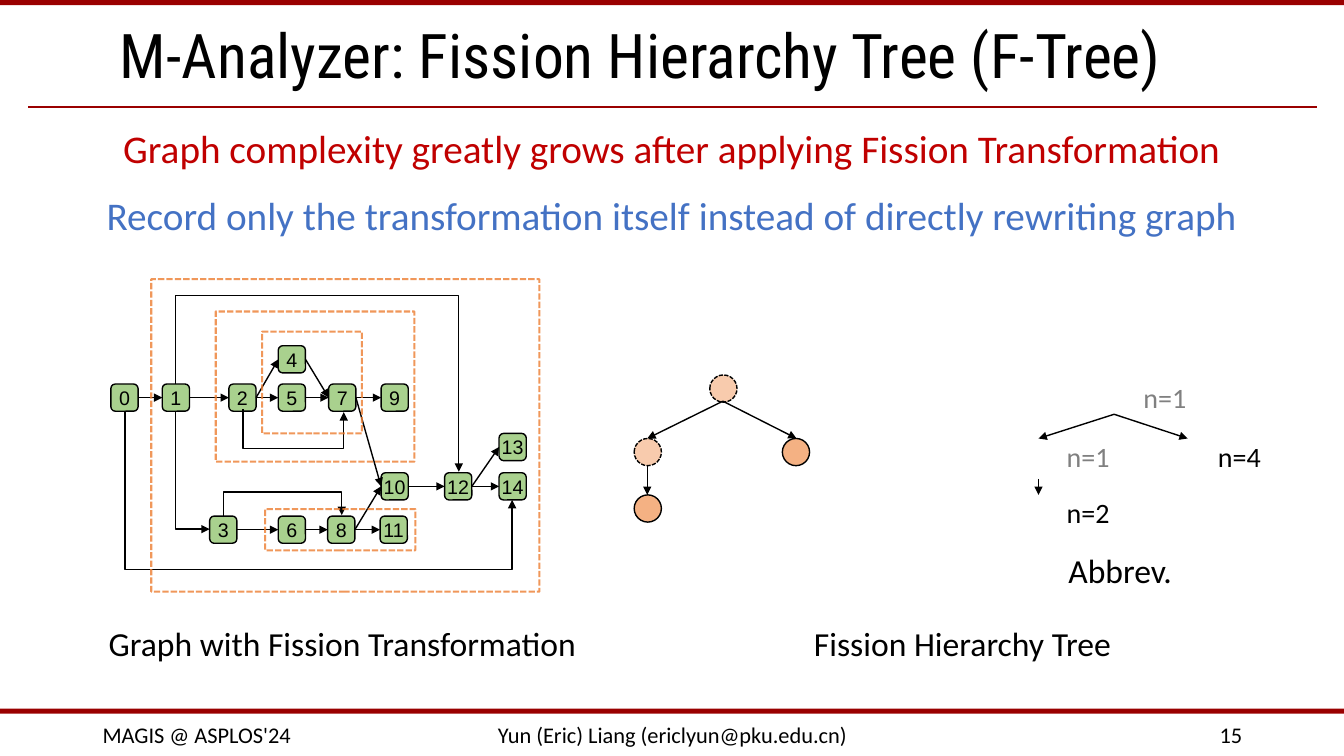
from lxml import etree
from pptx import Presentation
from pptx.dml.color import RGBColor
from pptx.enum.dml import MSO_LINE
from pptx.enum.shapes import MSO_CONNECTOR, MSO_SHAPE
from pptx.enum.text import MSO_ANCHOR, MSO_AUTO_SIZE, PP_ALIGN
from pptx.oxml.ns import qn
from pptx.util import Pt

PX = 9144
STRAIGHT, ELBOW = MSO_CONNECTOR.STRAIGHT, MSO_CONNECTOR.ELBOW
RECT, ROUND, OVAL = MSO_SHAPE.RECTANGLE, MSO_SHAPE.ROUNDED_RECTANGLE, MSO_SHAPE.OVAL
LEFT, CENTER, RIGHT = PP_ALIGN.LEFT, PP_ALIGN.CENTER, PP_ALIGN.RIGHT
TOP, MIDDLE = MSO_ANCHOR.TOP, MSO_ANCHOR.MIDDLE
DASH = MSO_LINE.SQUARE_DOT
NO_FIT = MSO_AUTO_SIZE.NONE
TOP_SIDE, LEFT_SIDE, BOTTOM_SIDE, RIGHT_SIDE = range(4)
NODE = 27

THEME = {
    "black": RGBColor.from_string("000000"),
    "gray": RGBColor.from_string("808080"),
    "bar": RGBColor.from_string("9A0000"),
    "red": RGBColor.from_string("C00000"),
    "blue": RGBColor.from_string("4472C4"),
    "node": RGBColor.from_string("A9D18E"),
    "region": RGBColor.from_string("ED7D31"),
    "pale": RGBColor.from_string("F8CBAD"),
    "leaf": RGBColor.from_string("F4B183"),
    "title": 44, "claim": 28, "caption": 24, "label": 20, "footer": 16, "number": 14,
    "body_font": "Calibri", "title_font": "Roboto Condensed", "node_font": "Arial",
}


def write(box, text, size="label", color="black", font="body_font", align=LEFT,
          anchor=MIDDLE, inset=(10, 5), wrap=True):
    frame = box.text_frame
    frame.word_wrap = wrap
    frame.auto_size = NO_FIT
    frame.vertical_anchor = anchor
    frame.margin_left = frame.margin_right = inset[0] * PX
    frame.margin_top = frame.margin_bottom = inset[1] * PX
    para = frame.paragraphs[0]
    para.alignment = align
    span = para.add_run()
    span.text = text
    span.font.size = Pt(THEME[size])
    span.font.name = THEME[font]
    span.font.color.rgb = THEME[color]
    return para


def connect(kind, x1, y1, x2, y2, color="black", width=1, arrow=True):
    line = page.shapes.add_connector(kind, x1 * PX, y1 * PX, x2 * PX, y2 * PX)
    line.line.color.rgb = THEME[color]
    line.line.width = Pt(width)
    properties = line.element.spPr
    if arrow:
        etree.SubElement(properties.find(qn("a:ln")), qn("a:tailEnd"), type="triangle")
    etree.SubElement(properties, qn("a:effectLst"))
    return line


deck = Presentation()
deck.slide_width, deck.slide_height = 1333 * PX, 750 * PX
page = deck.slides.add_slide(deck.slide_layouts[5])

for top in (0, 703):
    bar = page.shapes.add_shape(RECT, 0, top * PX, 1333 * PX, 5 * PX)
    bar.shadow.inherit = False
    bar.fill.solid()
    bar.fill.fore_color.rgb = THEME["bar"]
    bar.line.fill.background()
connect(STRAIGHT, 28, 106, 1306, 106, color="bar", width=1.5, arrow=False)

title = page.shapes.title
title.left, title.top, title.width, title.height = 109 * PX, 17 * PX, 1150 * PX, 83 * PX
heading = write(title, "M-Analyzer: Fission Hierarchy Tree (F-Tree)", size="title", font="title_font")
heading.line_spacing = 0.9

footer = {"size": "footer"}
claim = {"size": "claim", "align": CENTER, "anchor": TOP}
caption = {"size": "caption", "align": CENTER, "anchor": TOP}
label = {"inset": (0, 0), "wrap": False}
faded = {**label, "color": "gray"}
texts = [
    (92, 709, 300, 40, "MAGIS @ ASPLOS'24", footer),
    (442, 709, 450, 40, "Yun (Eric) Liang (ericlyun@pku.edu.cn)", {**footer, "align": CENTER}),
    (942, 709, 300, 40, "15", {**footer, "align": RIGHT}),
    (44, 118, 1244, 57, "Graph complexity greatly grows after applying Fission Transformation",
     {**claim, "color": "red"}),
    (51, 185, 1230, 57, "Record only the transformation itself instead of directly rewriting graph",
     {**claim, "color": "blue"}),
    (34, 613, 611, 50, "Graph with Fission Transformation", caption),
    (734, 613, 441, 50, "Fission Hierarchy Tree", caption),
    (1048, 541, 126, 50, "Abbrev.", caption),
    (1134, 377, 48, 34, "n=1", faded),
    (1058, 436, 48, 34, "n=1", faded),
    (1208, 436, 48, 34, "n=4", label),
    (1058, 491, 48, 34, "n=2", label),
]
for left, top, width, height, text, style in texts:
    write(page.shapes.add_textbox(left * PX, top * PX, width * PX, height * PX), text, **style)

for left, top, fill, dashed in [(704, 372, "pale", True), (629, 435, "pale", True),
                                (776, 435, "leaf", False), (629, 491, "leaf", False)]:
    circle = page.shapes.add_shape(OVAL, left * PX, top * PX, NODE * PX, NODE * PX)
    circle.shadow.inherit = False
    circle.fill.solid()
    circle.fill.fore_color.rgb = THEME[fill]
    circle.line.color.rgb = THEME["black"]
    circle.line.width = Pt(1)
    if dashed:
        circle.line.dash_style = DASH

for branch in [(717, 398, 642, 435), (717, 398, 790, 435), (642, 462, 642, 491),
               (1105, 411, 1030, 435), (1105, 411, 1178, 435), (1030, 475, 1030, 491)]:
    connect(STRAIGHT, *branch)

node_places = {
    0: (110, 381), 1: (161, 381), 2: (227, 381), 3: (208, 512), 4: (276, 343),
    5: (276, 381), 6: (276, 512), 7: (326, 381), 8: (325, 512), 9: (378, 381),
    10: (378, 469), 11: (377, 512), 12: (441, 469), 13: (495, 430), 14: (495, 469),
}
nodes = {}
for number, (left, top) in node_places.items():
    node = page.shapes.add_shape(ROUND, left * PX, top * PX, NODE * PX, NODE * PX)
    node.shadow.inherit = False
    node.fill.solid()
    node.fill.fore_color.rgb = THEME["node"]
    node.line.color.rgb = THEME["black"]
    node.line.width = Pt(1)
    write(node, str(number), size="number", font="node_font", align=CENTER, inset=(0, 0), wrap=False)
    nodes[number] = node

for source, target in [(0, 1), (1, 2), (2, 4), (2, 5), (4, 7), (5, 7), (7, 9), (7, 10), (3, 6),
                       (6, 8), (8, 11), (8, 10), (10, 12), (12, 13), (12, 14)]:
    edge = connect(STRAIGHT, 0, 0, 0, 0)
    edge.begin_connect(nodes[source], RIGHT_SIDE)
    edge.end_connect(nodes[target], LEFT_SIDE)

for x1, y1, x2, y2, turn in [(222, 513, 339, 511, 488), (241, 406, 341, 409, 445),
                             (174, 381, 455, 468, 293), (124, 408, 508, 496, 565),
                             (174, 408, 208, 525, None)]:
    across, down = x2 - x1, y2 - y1
    length = abs(down)
    left, top = (x1 + x2 - length) / 2, (y1 + y2 - across) / 2
    detour = connect(ELBOW, 0, 0, 0, 0)
    detour.left, detour.top = int(left * PX), int(top * PX)
    detour.width, detour.height = length * PX, across * PX
    frame = detour.element.spPr.find(qn("a:xfrm"))
    frame.set("rot", "16200000")
    if down > 0:
        frame.set("flipH", "1")
    geometry = detour.element.spPr.find(qn("a:prstGeom"))
    if turn is None:
        geometry.set("prst", "bentConnector2")
    else:
        share = round((turn - y1) / down * 100000)
        etree.SubElement(geometry.find(qn("a:avLst")), qn("a:gd"), name="adj1", fmla=f"val {share}")

for left, top, width, height in [(260, 329, 99, 101), (214, 309, 197, 149),
                                 (263, 505, 149, 41), (150, 277, 385, 310)]:
    region = page.shapes.add_shape(RECT, left * PX, top * PX, width * PX, height * PX)
    region.shadow.inherit = False
    region.fill.background()
    region.line.color.rgb = THEME["region"]
    region.line.width = Pt(1.5)
    region.line.dash_style = DASH
    tint = region.element.spPr.find(qn("a:ln")).find(".//" + qn("a:srgbClr"))
    etree.SubElement(tint, qn("a:alpha"), val="80000")

deck.save("out.pptx")
